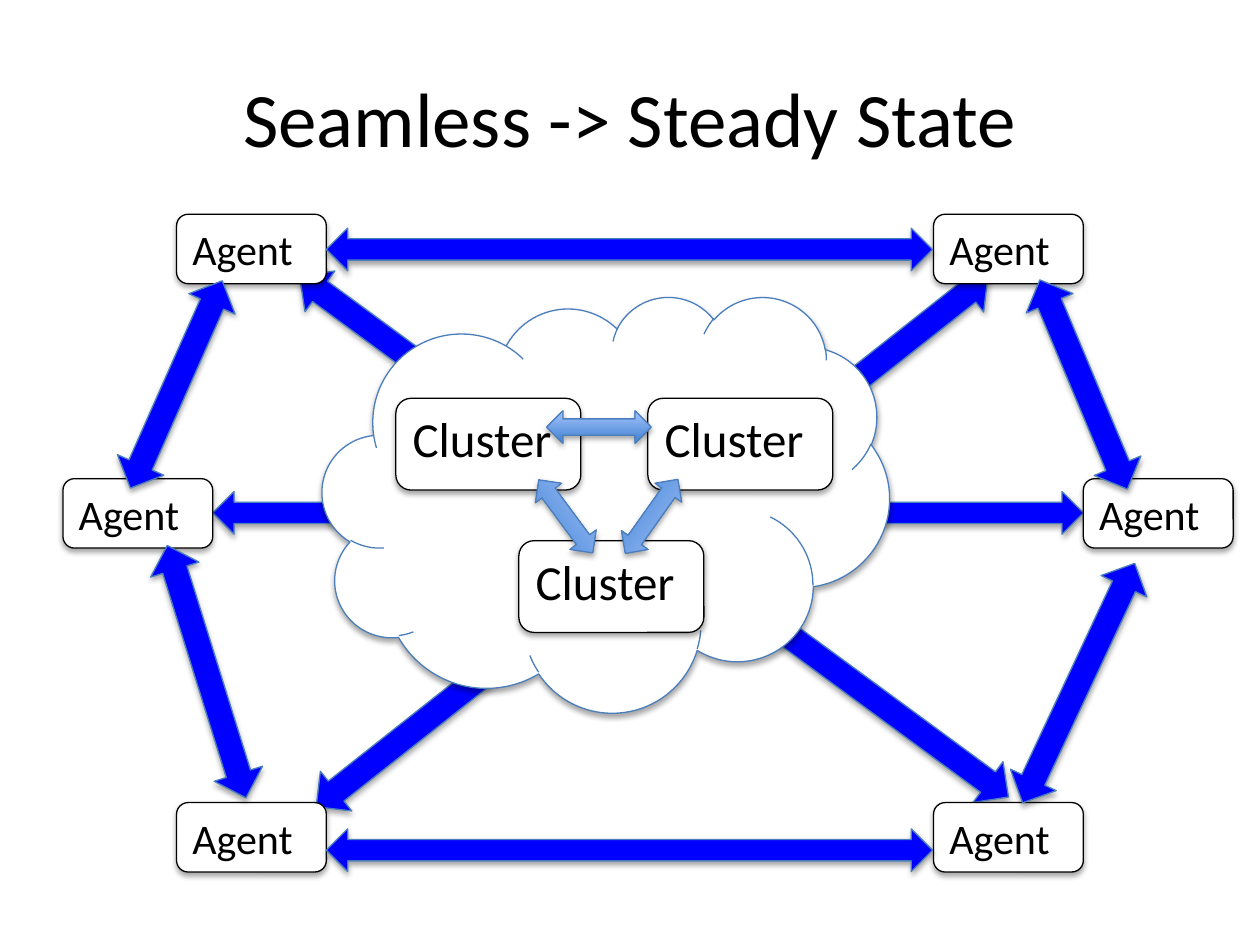
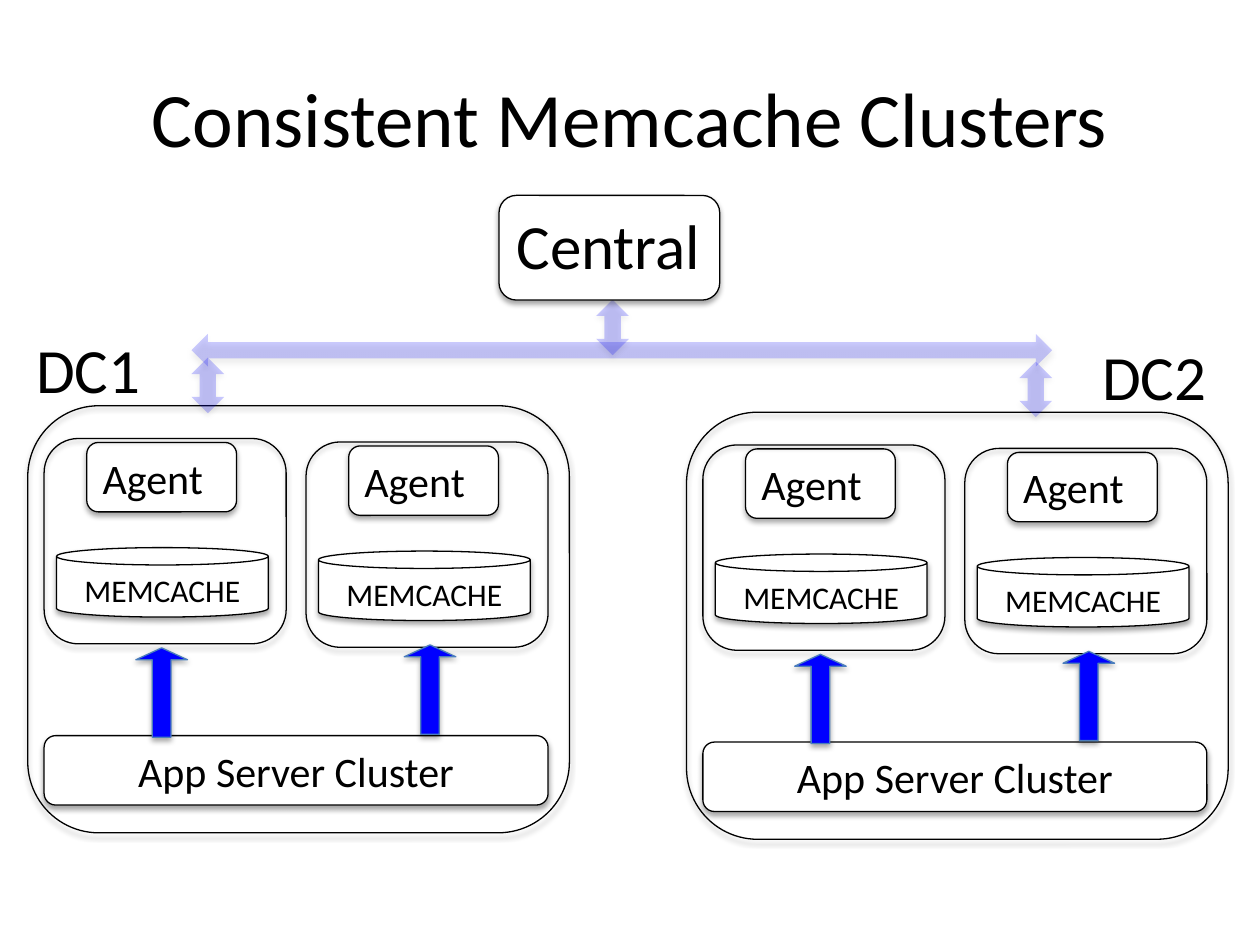
from lxml import etree
from pptx import Presentation
from pptx import util as u
from pptx.dml.color import RGBColor
from pptx.enum import shapes, text
from pptx.oxml import ns

BLACK = RGBColor(0x00, 0x00, 0x00)
WHITE = RGBColor(0xFF, 0xFF, 0xFF)
BLUE = RGBColor(0x00, 0x00, 0xFF)
EDGE_BLUE = RGBColor(0x4B, 0x7E, 0xBC)
GRADIENT = (RGBColor(0x3F, 0x80, 0xCE), RGBColor(0xA4, 0xC4, 0xFF))
FONT = "Calibri"
FORM = shapes.MSO_SHAPE
LEFT, CENTER = text.PP_ALIGN.LEFT, text.PP_ALIGN.CENTER
AGENT_SIZE = (3.02, 1.4)
CLUSTER_SIZE = (3.73, 1.85)


class Deck:
    def __init__(self):
        self.prs = Presentation()
        self.prs.slide_width, self.prs.slide_height = u.Cm(25.4), u.Cm(19.05)
        self.slide = None

    def new_slide(self, title):
        self.slide = self.prs.slides.add_slide(self.prs.slide_layouts[6])
        self.label(title, (1.27, 0.76, 22.86, 3.18), 44, CENTER, text.MSO_ANCHOR.MIDDLE)

    def put_words(self, frame, words, size, align, anchor=text.MSO_ANCHOR.TOP):
        frame.word_wrap = True
        frame.vertical_anchor = anchor
        paragraph = frame.paragraphs[0]
        paragraph.alignment = align
        run = paragraph.add_run()
        run.text = words
        run.font.name, run.font.size = FONT, u.Pt(size)
        run.font.color.rgb = BLACK

    def label(self, words, place, size, align=LEFT, anchor=text.MSO_ANCHOR.TOP):
        box = self.slide.shapes.add_textbox(*map(u.Cm, place))
        self.put_words(box.text_frame, words, size, align, anchor)

    def shadow(self, shape):
        shape.shadow.inherit = False
        effects = shape.element.spPr.find(ns.qn("a:effectLst"))
        outer = etree.SubElement(effects, ns.qn("a:outerShdw"), blurRad="40000",
                                 dist="23000", dir="5400000", rotWithShape="0")
        color = etree.SubElement(outer, ns.qn("a:srgbClr"), val=str(BLACK))
        etree.SubElement(color, ns.qn("a:alpha"), val="35000")

    def form(self, kind, place, fill=WHITE, line=BLACK, turn=0):
        shape = self.slide.shapes.add_shape(kind, *map(u.Cm, place))
        shape.rotation = turn
        if fill is None:
            shape.fill.background()
        else:
            shape.fill.solid()
            shape.fill.fore_color.rgb = fill
        if line is None:
            shape.line.fill.background()
        else:
            shape.line.color.rgb = line
            shape.line.width = u.Pt(0.75)
        self.shadow(shape)
        return shape

    def box(self, words, place, size, align=LEFT, kind=FORM.ROUNDED_RECTANGLE):
        shape = self.form(kind, place)
        self.put_words(shape.text_frame, words, size, align)

    def outline(self, place):
        self.form(FORM.ROUNDED_RECTANGLE, place, fill=None)

    def agent(self, left, top):
        self.box("Agent", (left, top, *AGENT_SIZE), 24)

    def exchange(self, place, turn=0):
        return self.form(FORM.LEFT_RIGHT_ARROW, place, BLUE, EDGE_BLUE, turn)

    def cluster_exchange(self, place, turn=0):
        fill = self.exchange(place, turn).fill
        fill.gradient()
        fill.gradient_angle = 90
        for stop, color in zip(fill.gradient_stops, GRADIENT):
            stop.color.rgb = color

    def faint_exchange(self, place, turn, opacity):
        link = self.form(FORM.LEFT_RIGHT_ARROW, place, BLUE, None, turn)
        color = link.element.spPr.find(ns.qn("a:solidFill"))[0]
        etree.SubElement(color, ns.qn("a:alpha"), val=str(opacity * 1000))

    def upload(self, left, top):
        arrow = self.form(FORM.RIGHT_ARROW, (left, top, 1.8, 1.04), BLUE, EDGE_BLUE, 270)
        arrow.adjustments[0], arrow.adjustments[1] = 0.36, 0.23

    def cache_node(self, left, top):
        self.agent(left + 0.86, top + 0.08)
        self.box("MEMCACHE", (left + 0.25, top + 2.2, 4.27, 1.4), 18, CENTER, FORM.CAN)
        self.outline((left, top, 4.88, 4.14))

    def data_center(self, left, top):
        for index in range(2):
            self.cache_node(left + 0.33 + 5.28 * index, top + 0.66 + 0.07 * index)
        self.outline((left, top, 10.92, 8.61))
        self.box("App Server Cluster", (left + 0.33, top + 6.65, 10.16, 1.4), 24, CENTER)
        for index in range(2):
            self.upload(left + 1.8 + 5.41 * index, top + 5.26 - 0.06 * index)


def steady_state(deck):
    deck.new_slide("Seamless -> Steady State")
    for place, turn in (((4.52, 10.41, 17.25, 1.02), 321.7),
                        ((4.29, 9.91, 17.55, 0.86), 0),
                        ((4.32, 10.31, 17.73, 1.02), 36.3)):
        deck.exchange(place, turn)
    deck.form(FORM.CLOUD, (6.5, 5.97, 11.43, 8.38), line=EDGE_BLUE)

    for left, top in ((21.84, 9.65), (18.82, 16.18), (18.82, 4.32),
                      (3.56, 4.32), (3.56, 16.18), (1.27, 9.65)):
        deck.agent(left, top)
    for top in (4.6, 16.71):
        deck.exchange((6.58, top, 12.22, 0.86))
    for left, top, length, turn in ((1.27, 7.24, 4.57, 293.9), (19.56, 7.24, 4.57, 247.3),
                                    (1.5, 13.03, 5.33, 252.7), (19.08, 13.26, 5.33, 295.1)):
        deck.exchange((left, top, length, 1.02), turn)

    for left, top in ((7.98, 8.03), (13.06, 8.03), (10.46, 10.9)):
        deck.box("Cluster", (left, top, *CLUSTER_SIZE), 28)
    for left, top, length, turn in ((11.02, 8.28, 2.11, 0), (12.22, 10.08, 1.83, 125.4),
                                    (10.49, 10.08, 1.83, 53.5)):
        deck.cluster_exchange((left, top, length, 0.66), turn)


def memcache_clusters(deck):
    deck.new_slide("Consistent Memcache Clusters")
    deck.data_center(0.56, 8.18)
    deck.label("DC1", (0.48, 6.53, 3.23, 1.8), 36)
    deck.data_center(13.84, 8.31)
    deck.label("DC2", (21.97, 6.68, 3.23, 1.8), 36)

    deck.faint_exchange((3.86, 6.73, 17.35, 0.66), 180, 20)
    for left, top in ((3.63, 7.44), (11.79, 6.27), (20.32, 7.52)):
        deck.faint_exchange((left, top, 1.12, 0.66), 270, 21)
    deck.box("Central", (10.06, 3.94, 4.45, 2.11), 36)


def main():
    deck = Deck()
    steady_state(deck)
    memcache_clusters(deck)
    deck.prs.save("out.pptx")


if __name__ == "__main__":
    main()
